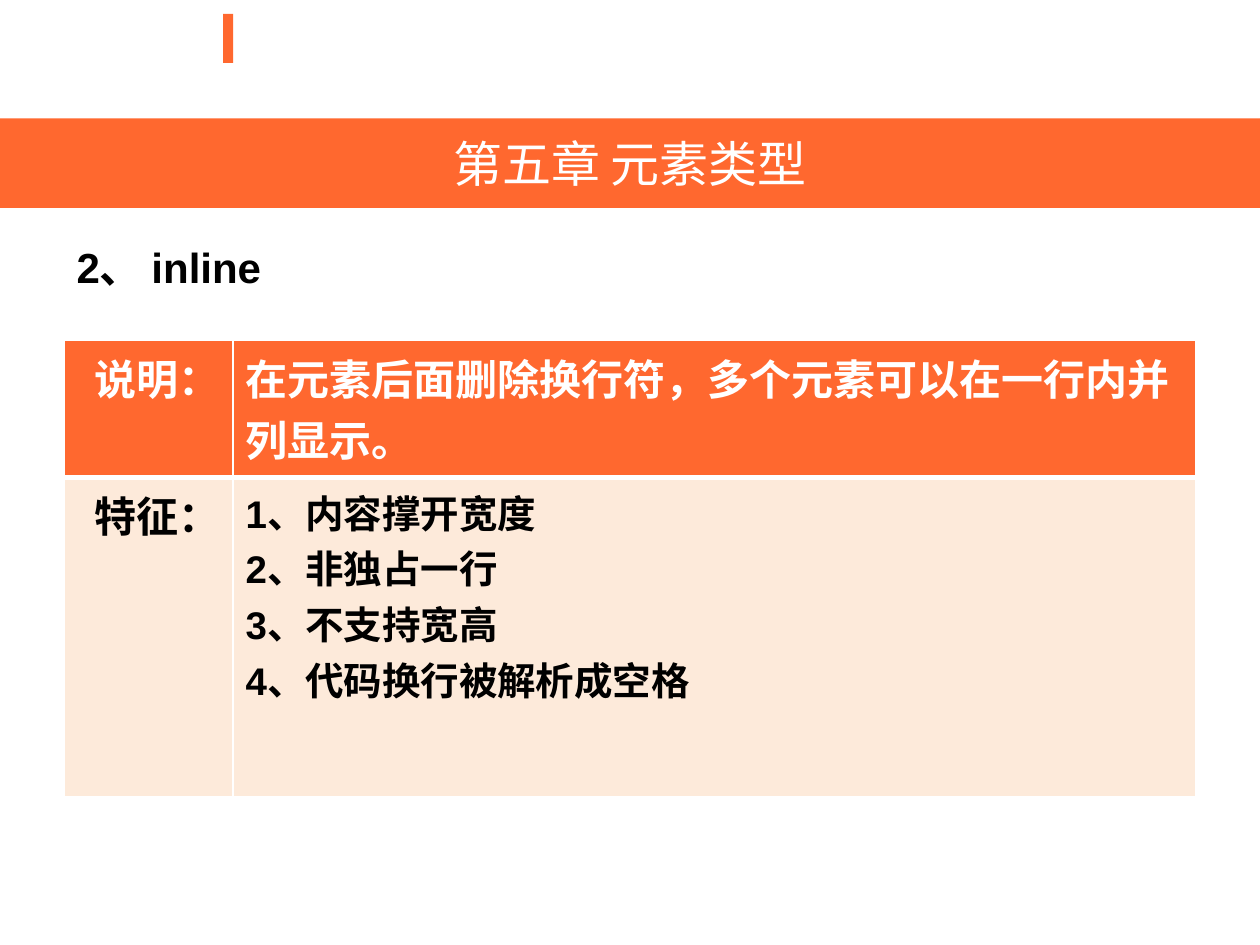
from lxml import etree
from pptx import Presentation
from pptx.dml.color import RGBColor
from pptx.enum.shapes import MSO_SHAPE as Shape
from pptx.enum.text import MSO_ANCHOR as Anchor, PP_ALIGN as Align
from pptx.oxml.ns import qn
from pptx.util import Inches, Pt

COLORS = {"orange": "FF682F", "peach": "FDEADA", "white": "FFFFFF", "black": "000000"}


class SlideBuilder:
    def __init__(self, slide, font="Arial"):
        self.slide = slide
        self.font = font

    def color(self, name):
        return RGBColor.from_string(COLORS[name])

    def fill_text(self, frame, lines, size, color, bold=True, **paragraph_format):
        """Put one paragraph per line into the frame."""
        frame.word_wrap = True
        font_format = {"name": self.font, "size": Pt(size), "bold": bold}
        for index, line in enumerate(lines):
            para = frame.add_paragraph() if index else frame.paragraphs[0]
            for key, value in paragraph_format.items():
                setattr(para, key, value)
            span = para.add_run()
            span.text = line
            for key, value in font_format.items():
                setattr(span.font, key, value)
            span.font.color.rgb = self.color(color)

    def bar(self, left, top, width, height):
        box = self.slide.shapes.add_shape(
            Shape.RECTANGLE, Inches(left), Inches(top), Inches(width), Inches(height))
        box.shadow.inherit = False
        box.fill.solid()
        box.fill.fore_color.rgb = self.color("orange")
        box.line.fill.background()
        return box

    def banner(self, title, *place):
        frame = self.bar(*place).text_frame
        frame.vertical_anchor = Anchor.MIDDLE
        self.fill_text(frame, [title], 28, "white", bold=False, alignment=Align.CENTER)

    def text(self, line, left, top, width, height):
        box = self.slide.shapes.add_textbox(
            Inches(left), Inches(top), Inches(width), Inches(height))
        self.fill_text(box.text_frame, [line], 24, "black", space_before=Pt(6))

    def borders(self, cell, widths):
        """Draw white cell borders; widths maps a side (L, R, T, B) to points."""
        properties = cell._tc.get_or_add_tcPr()
        for index, (side, width) in enumerate(widths.items()):
            line = etree.Element(qn(f"a:ln{side}"), w=str(Pt(width)))
            fill = etree.SubElement(line, qn("a:solidFill"))
            etree.SubElement(fill, qn("a:srgbClr"), val=COLORS["white"])
            properties.insert(index, line)

    def table(self, rows, left, top, widths, heights):
        """Each row is (label, lines, text size, text colour, fill, borders)."""
        table = self.slide.shapes.add_table(
            len(rows), len(widths), Inches(left), Inches(top),
            Inches(sum(widths)), Inches(sum(heights))).table
        for column, width in zip(table.columns, widths):
            column.width = Inches(width)
        for index, (label, lines, size, color, fill, sides) in enumerate(rows):
            table.rows[index].height = Inches(heights[index])
            name, detail = table.rows[index].cells
            self.fill_text(name.text_frame, [label], 24, color, alignment=Align.RIGHT)
            self.fill_text(detail.text_frame, lines, size, color)
            for cell in (name, detail):
                cell.fill.solid()
                cell.fill.fore_color.rgb = self.color(fill)
                self.borders(cell, sides)


def main():
    deck = Presentation()
    deck.slide_width, deck.slide_height = Inches(10), Inches(7.5)
    page = SlideBuilder(deck.slides.add_slide(deck.slide_layouts[6]))

    page.bar(1.77, 0.11, 0.08, 0.39)
    page.banner("第五章 元素类型", 0, 0.94, 10, 0.71)
    page.text("2、 inline", 0.51, 1.87, 9, 4.72)

    features = ["1、内容撑开宽度", "2、非独占一行", "3、不支持宽高", "4、代码换行被解析成空格"]
    thin = {"L": 1, "R": 1, "T": 1, "B": 1}
    page.table([
        ("说明：", ["在元素后面删除换行符，多个元素可以在一行内并列显示。"],
         24, "white", "orange", {**thin, "B": 3}),
        ("特征：", features, 22, "black", "peach", {**thin, "T": 3}),
    ], 0.51, 2.7, widths=[1.34, 7.64], heights=[1.09, 2.53])

    deck.save("out.pptx")


if __name__ == "__main__":
    main()
